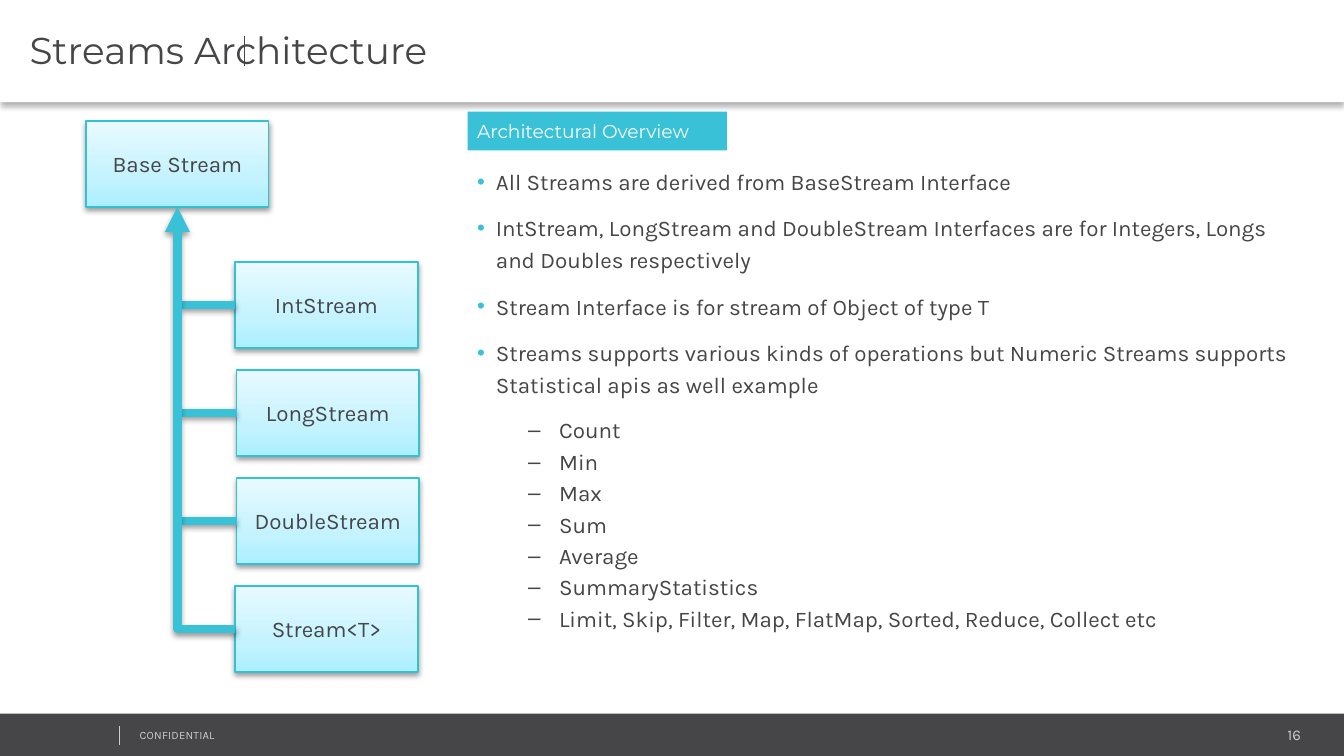
"""Build the Streams Architecture slide."""
from dataclasses import dataclass

from lxml.etree import SubElement
from pptx import Presentation
from pptx.dml.color import RGBColor
from pptx.enum.shapes import MSO_CONNECTOR as Link, MSO_SHAPE as Shape
from pptx.enum.text import MSO_ANCHOR as Anchor, PP_ALIGN as Align
from pptx.oxml import parse_xml
from pptx.oxml.ns import nsdecls, qn
from pptx.util import Inches, Pt

WHITE = RGBColor(0xFF, 0xFF, 0xFF)
DARK = RGBColor(0x46, 0x45, 0x47)
GREY = RGBColor(0xCC, 0xCC, 0xCC)
TEAL = RGBColor(0x39, 0xC2, 0xD7)
BORDER = RGBColor(0x34, 0xC1, 0xD6)
GRADIENT = ((0, RGBColor(0xAC, 0xEF, 0xFF)), (35, RGBColor(0xC4, 0xF3, 0xFF)),
            (100, RGBColor(0xE9, 0xFA, 0xFF)))
HEADING, BODY = "Montserrat", "Karla"
BOX_WIDTH, BOX_HEIGHT = 1.36, 0.64
FIRST_TOP, LAST_TOP = 1.95, 4.36
TRUNK = 1.32


@dataclass
class Node:
    label: str
    left: float
    top: float


@dataclass
class Level:
    indent: float
    hanging: float
    bullet: str
    line_spacing: float
    before: float
    after: float
    color: RGBColor


BASE = Node("Base Stream", 0.64, 0.9)
CHILDREN = [Node(label, left, FIRST_TOP + (LAST_TOP - FIRST_TOP) / 3 * row)
            for row, (label, left) in enumerate((("IntStream", 1.75), ("LongStream", 1.76),
                                                 ("DoubleStream", 1.76), ("Stream<T>", 1.75)))]
POINT = Level(0.14, 0.14, "•", 1.2, 0, 7.5, TEAL)
SUBPOINT = Level(0.61, 0.23, "–", 1.0, 2.4, 0, DARK)
POINTS = (
    "All Streams are derived from BaseStream Interface",
    "IntStream, LongStream and DoubleStream Interfaces are for Integers, Longs and Doubles respectively",
    "Stream Interface is for stream of Object of type T",
    "Streams supports various kinds of operations but Numeric Streams supports Statistical apis as well example",
)
SUBPOINTS = ("Count", "Min", "Max", "Sum", "Average", "SummaryStatistics",
             "Limit, Skip, Filter, Map, FlatMap, Sorted, Reduce, Collect etc")

deck = Presentation()
deck.slide_width = Inches(10)
deck.slide_height = Inches(10 * 9 / 16)
page = deck.slides.add_slide(deck.slide_layouts[6])


def set_shadow(item, opacity: int = 38, distance: float = 1.6) -> None:
    """Give a shape or connector a soft shadow below it."""
    properties = item._element.spPr
    for old in properties.findall(qn("a:effectLst")):
        properties.remove(old)
    properties.append(parse_xml(
        f'<a:effectLst {nsdecls("a")}><a:outerShdw blurRad="{Pt(3.1)}" dist="{Pt(distance)}" '
        f'dir="5400000" rotWithShape="0"><a:srgbClr val="000000">'
        f'<a:alpha val="{opacity * 1000}"/></a:srgbClr></a:outerShdw></a:effectLst>'))


def style_text(para, size: float, font: str, color: RGBColor) -> None:
    """Format every run of a paragraph."""
    for span in para.runs:
        span.font.size, span.font.name = Pt(size), font
        span.font.color.rgb = color


def add_rect(left: float, top: float, width: float, height: float, color: RGBColor):
    """Add a plain filled rectangle."""
    box = page.shapes.add_shape(Shape.RECTANGLE, Inches(left), Inches(top),
                                Inches(width), Inches(height))
    box.shadow.inherit = False
    box.fill.solid()
    box.fill.fore_color.rgb = color
    box.line.fill.background()
    return box


def set_label(box, text: str, size: float, font: str, color: RGBColor, align=Align.LEFT,
              anchor=Anchor.MIDDLE, left: float = 0.07, top: float = 0.04) -> None:
    """Write one formatted line into a box."""
    frame = box.text_frame
    frame.text, frame.word_wrap, frame.vertical_anchor = text, True, anchor
    frame.margin_left, frame.margin_right = Inches(left), Inches(0.07)
    frame.margin_top, frame.margin_bottom = Inches(top), Inches(0.04)
    frame.paragraphs[0].alignment = align
    style_text(frame.paragraphs[0], size, font, color)


def add_box(left: float, top: float, width: float, height: float):
    """Add an empty text box."""
    return page.shapes.add_textbox(Inches(left), Inches(top), Inches(width), Inches(height))


def add_line(start: tuple[float, float], end: tuple[float, float], color: RGBColor,
             width: float, kind=Link.STRAIGHT):
    """Add a connector without a shadow."""
    line = page.shapes.add_connector(kind, *map(Inches, start + end))
    line.line.color.rgb, line.line.width = color, Pt(width)
    SubElement(line._element.spPr, qn("a:effectLst"))
    return line


def add_node(node: Node) -> None:
    """Add a gradient box of the class diagram."""
    box = add_rect(node.left, node.top, BOX_WIDTH, BOX_HEIGHT, WHITE)
    stops = "".join(f'<a:gs pos="{place * 1000}"><a:srgbClr val="{color}"/></a:gs>'
                    for place, color in GRADIENT)
    properties = box._element.spPr
    properties.replace(properties.find(qn("a:solidFill")), parse_xml(
        f'<a:gradFill {nsdecls("a")} rotWithShape="1"><a:gsLst>{stops}</a:gsLst>'
        f'<a:lin ang="16200000" scaled="0"/></a:gradFill>'))
    box.line.color.rgb, box.line.width = BORDER, Pt(0.75)
    set_shadow(box)
    set_label(box, node.label, 12, BODY, DARK, Align.CENTER)


def add_bullet(para, text: str, level: Level) -> None:
    """Write a bulleted paragraph."""
    para.text = text
    para.line_spacing = level.line_spacing
    para.space_before, para.space_after = Pt(level.before), Pt(level.after)
    style_text(para, 12, BODY, DARK)
    properties = para._p.get_or_add_pPr()
    properties.set("marL", str(Inches(level.indent)))
    properties.set("indent", str(-Inches(level.hanging)))
    SubElement(SubElement(properties, qn("a:buClr")), qn("a:srgbClr")).set("val", str(level.color))
    SubElement(properties, qn("a:buFont")).set("typeface", "Arial")
    SubElement(properties, qn("a:buChar")).set("char", level.bullet)


add_rect(0, 5.31, 10.01, 0.33, DARK)
set_label(add_box(8.12, 5.36, 1.63, 0.21), "16", 8, BODY, GREY, Align.RIGHT, Anchor.TOP)
footer = add_box(0.96, 5.38, 2.53, 0.18)
set_label(footer, "CONFIDENTIAL", 6, BODY, GREY, anchor=Anchor.TOP, left=0.08)
footer.text_frame.paragraphs[0].runs[0].font._element.set("spc", "10")
add_line((0.89, 5.4), (0.89, 5.54), GREY, 0.25)

set_shadow(add_rect(0, 0, 10, 0.76, WHITE), 30, 2)
add_line((1.82, 0.27), (1.82, 0.49), DARK, 0.5)
set_label(add_box(0, 0, 10, 0.78), "Streams Architecture", 20, HEADING, DARK, left=0.22, top=0)

set_label(add_rect(3.48, 0.83, 1.93, 0.29, TEAL), "Architectural Overview", 10, HEADING, WHITE)
overview = add_box(3.48, 1.17, 6.25, 4.02)
set_label(overview, "", 12, BODY, DARK, anchor=Anchor.TOP)
entries = [(text, POINT) for text in POINTS] + [(text, SUBPOINT) for text in SUBPOINTS]
for index, (text, level) in enumerate(entries):
    frame = overview.text_frame
    add_bullet(frame.add_paragraph() if index else frame.paragraphs[0], text, level)

for node in (BASE, *CHILDREN):
    add_node(node)
for node in CHILDREN[:-1]:
    middle = node.top + BOX_HEIGHT / 2
    set_shadow(add_line((node.left, middle), (TRUNK + 0.03, middle), TEAL, 4.5))
last = CHILDREN[-1]
trunk = add_line((last.left, last.top + BOX_HEIGHT / 2), (TRUNK, BASE.top + BOX_HEIGHT),
                 TEAL, 4.5, Link.ELBOW)
trunk._element.spPr.find(qn("a:prstGeom")).set("prst", "bentConnector2")
SubElement(trunk.line._get_or_add_ln(), qn("a:tailEnd")).set("type", "triangle")
set_shadow(trunk)

deck.save("out.pptx")
